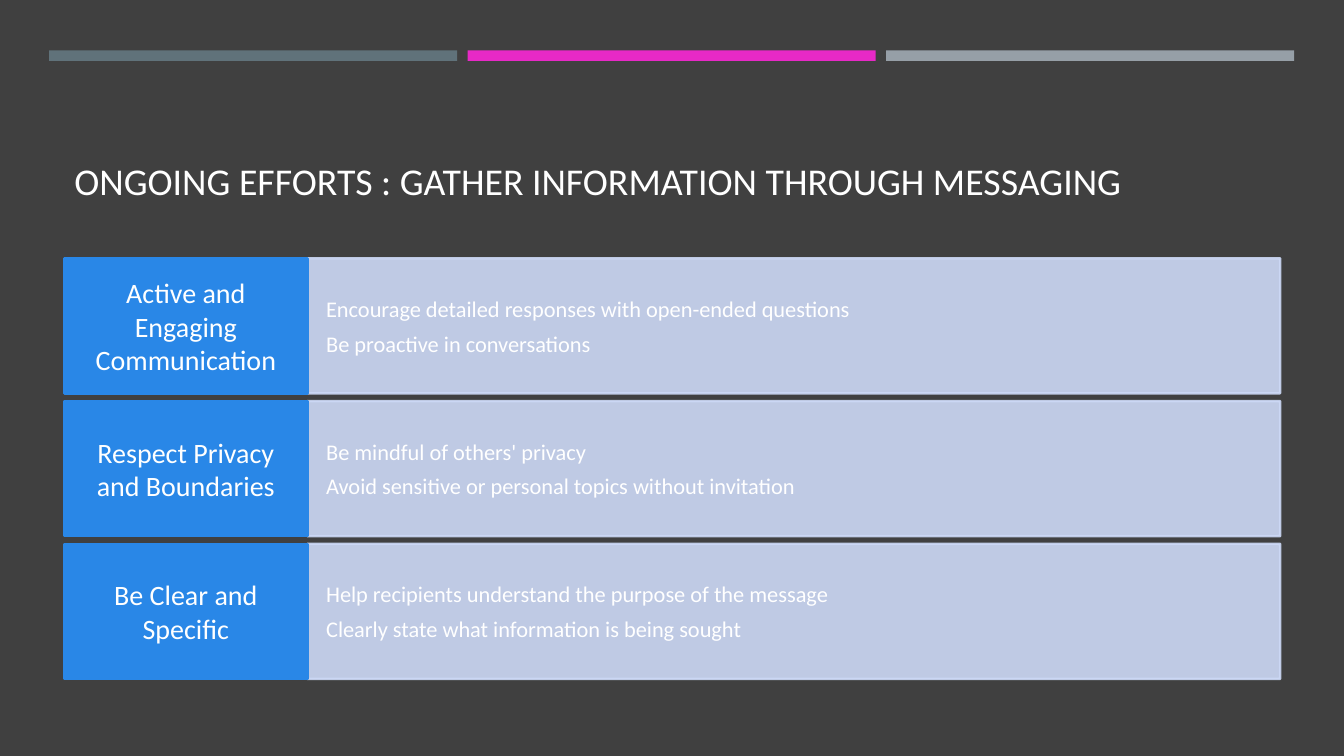
from dataclasses import dataclass

from lxml.etree import SubElement
from pptx import Presentation
from pptx.dml.color import RGBColor
from pptx.enum.shapes import MSO_SHAPE as Preset
from pptx.enum.text import MSO_ANCHOR as Anchor, MSO_AUTO_SIZE as AutoSize, PP_ALIGN as Align
from pptx.oxml.ns import qn
from pptx.util import Pt


@dataclass(frozen=True)
class Theme:
    font: str = "Calibri"
    background: str = "404040"
    text: str = "FFFFFF"
    label: str = "2987E7"
    detail: str = "CDD9F6"
    bars: tuple = ("60727A", "E729C6", "969FA7")
    title_size: float = 27
    label_size: float = 20
    detail_size: float = 16
    outline: float = 1.75
    detail_opacity: int = 90


class SlideBuilder:
    def __init__(self, page, theme):
        self.page = page
        self.theme = theme
        fill = page.background.fill
        fill.solid()
        fill.fore_color.rgb = RGBColor.from_string(theme.background)

    def add_lines(self, frame, lines, size, align, space_after=0):
        """Fill a text frame with one styled paragraph per line."""
        frame.word_wrap = True
        for index, line in enumerate(lines):
            para = frame.paragraphs[0] if index == 0 else frame.add_paragraph()
            para.alignment = align
            para.space_before = Pt(0)
            para.space_after = Pt(space_after)
            span = para.add_run()
            span.text = line
            span.font.name = self.theme.font
            span.font.size = Pt(size)
            span.font.color.rgb = RGBColor.from_string(self.theme.text)

    def title(self, text, left, top, width, height):
        box = self.page.shapes.title
        box.left, box.top, box.width, box.height = map(Pt, (left, top, width, height))
        frame = box.text_frame
        frame.auto_size = AutoSize.NONE
        frame.vertical_anchor = Anchor.BOTTOM
        self.add_lines(frame, [text], self.theme.title_size, Align.LEFT)
        frame.paragraphs[0].line_spacing = 0.9

    def bar(self, color, left, top, width, height):
        box = self.page.shapes.add_shape(Preset.RECTANGLE, *map(Pt, (left, top, width, height)))
        box.shadow.inherit = False
        box.fill.solid()
        box.fill.fore_color.rgb = RGBColor.from_string(color)
        box.line.fill.background()
        return box

    def panel(self, color, lines, size, align, insets, left, top, width, height, opacity=100):
        """Draw an outlined rectangle holding vertically centred text."""
        box = self.bar(color, left, top, width, height)
        box.line.color.rgb = RGBColor.from_string(color)
        box.line.width = Pt(self.theme.outline)
        if opacity < 100:
            for tint in box._element.spPr.iter(qn("a:srgbClr")):
                SubElement(tint, qn("a:alpha"), val=str(opacity * 1000))
        frame = box.text_frame
        frame.vertical_anchor = Anchor.MIDDLE
        side, end = map(Pt, insets)
        frame.margin_left = frame.margin_right = side
        frame.margin_top = frame.margin_bottom = end
        self.add_lines(frame, lines, size, align, space_after=0.35 * size)

    def row(self, label, details, left, top, label_width, detail_width, height):
        theme = self.theme
        self.panel(theme.detail, details, theme.detail_size, Align.LEFT, (13.5, 24.5),
                   left + label_width, top, detail_width, height, theme.detail_opacity)
        self.panel(theme.label, [label], theme.label_size, Align.CENTER, (9.5, 9.5),
                   left, top, label_width, height)


ROWS = (
    ("Active and Engaging Communication",
     ("Encourage detailed responses with open-ended questions",
      "Be proactive in conversations")),
    ("Respect Privacy and Boundaries",
     ("Be mindful of others' privacy",
      "Avoid sensitive or personal topics without invitation")),
    ("Be Clear and Specific",
     ("Help recipients understand the purpose of the message",
      "Clearly state what information is being sought")),
)


def main():
    deck = Presentation()
    deck.slide_width, deck.slide_height = Pt(960), Pt(540)
    title_only = deck.slide_layouts[5]
    theme = Theme()
    slide = SlideBuilder(deck.slides.add_slide(title_only), theme)

    slide.title("ONGOING EFFORTS : GATHER INFORMATION THROUGH MESSAGING", 46, 55.5, 868.5, 93.5)
    for index, color in enumerate(theme.bars):
        slide.bar(color, 35 + 299 * index, 36, 291.5, 7.5)
    for index, (label, details) in enumerate(ROWS):
        slide.row(label, details, left=46, top=184.5 + 102 * index,
                  label_width=173.5, detail_width=695, height=96.5)

    deck.save("out.pptx")


if __name__ == "__main__":
    main()
